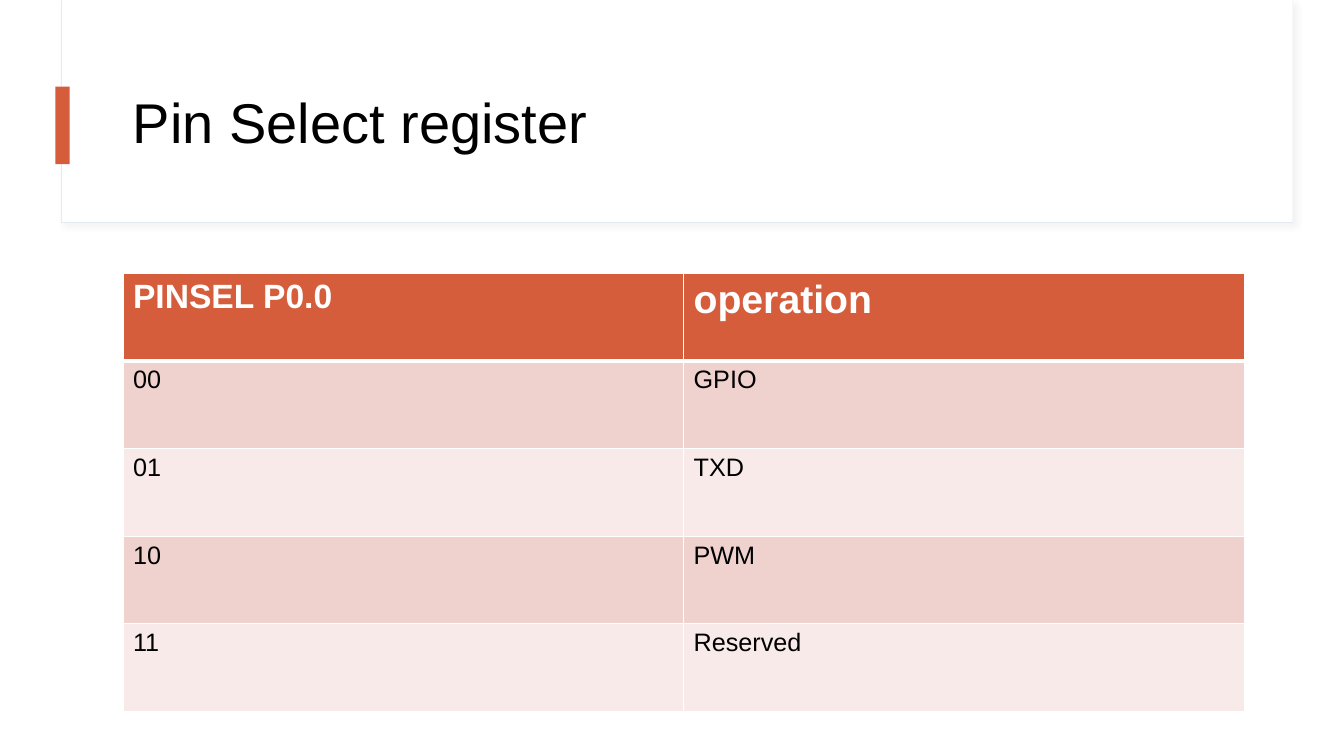
import pptx
import pptx.dml.color
import pptx.enum.shapes
import pptx.enum.text
import pptx.oxml
import pptx.oxml.ns
import pptx.util
from lxml import etree

Inches = pptx.util.Inches
Pt = pptx.util.Pt
qn = pptx.oxml.ns.qn

COLORS = {
    "white": "FFFFFF",
    "black": "000000",
    "accent": "D55D3B",
    "frame": "E5EAF0",
    "shadow": "D9D9D9",
    "odd_row": "EFD2CE",
    "even_row": "F7EAE8",
}
FONT = "Arial"
LEFT, WIDTH = 1.22, 11.12
ROW_HEIGHT = 0.87
ROWS = [
    ("PINSEL P0.0", "operation"),
    ("00", "GPIO"),
    ("01", "TXD"),
    ("10", "PWM"),
    ("11", "Reserved"),
]
HEADER_SIZES = (24, 28)


def rgb(name):
    """Return the named colour."""
    return pptx.dml.color.RGBColor.from_string(COLORS[name])


def format_text(para, size, color, bold=False):
    """Set the font of every run in a paragraph."""
    for span in para.runs:
        span.font.name = FONT
        span.font.size = Pt(size)
        span.font.bold = bold
        span.font.color.rgb = rgb(color)


def add_panel(page, left, top, width, height, fill, line=None):
    """Add a flat rectangle, outlined if a line colour is given."""
    panel = page.shapes.add_shape(
        pptx.enum.shapes.MSO_SHAPE.RECTANGLE,
        Inches(left), Inches(top), Inches(width), Inches(height))
    panel.shadow.inherit = False
    panel.fill.solid()
    panel.fill.fore_color.rgb = rgb(fill)
    if line:
        panel.line.color.rgb = rgb(line)
        panel.line.width = Pt(0.75)
    else:
        panel.line.fill.background()
    return panel


def add_soft_shadow(panel):
    """Give a panel a faint shadow to the lower right."""
    effects = panel._element.spPr.find(qn("a:effectLst"))
    shadow = etree.SubElement(
        effects, qn("a:outerShdw"), blurRad=str(Pt(4)), dist=str(Pt(3)),
        dir=str(45 * 60000), algn="tl", rotWithShape="0")
    color = etree.SubElement(shadow, qn("a:srgbClr"), val=COLORS["shadow"])
    etree.SubElement(color, qn("a:alpha"), val="30000")


def add_title(page, text):
    """Add the vertically centred title."""
    box = page.shapes.add_textbox(
        Inches(LEFT), Inches(0.6), Inches(WIDTH), Inches(1.29))
    frame = box.text_frame
    frame.word_wrap = True
    frame.vertical_anchor = pptx.enum.text.MSO_ANCHOR.MIDDLE
    frame.text = text
    frame.paragraphs[0].line_spacing = 0.9
    format_text(frame.paragraphs[0], 40, "black")


def set_borders(cell, top, bottom):
    """Draw white cell borders, with the top and bottom widths in points."""
    properties = cell._tc.get_or_add_tcPr()
    widths = {"a:lnL": 1, "a:lnR": 1, "a:lnT": top, "a:lnB": bottom}
    for index, (tag, width) in enumerate(widths.items()):
        line = etree.Element(qn(tag), w=str(Pt(width)))
        fill = etree.SubElement(line, qn("a:solidFill"))
        etree.SubElement(fill, qn("a:srgbClr"), val=COLORS["white"])
        properties.insert(index, line)


def add_register_table(page):
    """Add the table of pin select values and their operations."""
    columns = len(ROWS[0])
    table = page.shapes.add_table(
        len(ROWS), columns, Inches(LEFT), Inches(2.71),
        Inches(WIDTH), Inches(ROW_HEIGHT * len(ROWS))).table
    for column in table.columns:
        column.width = Inches(WIDTH / columns)
    for row_index, texts in enumerate(ROWS):
        header = row_index == 0
        band = "odd_row" if row_index % 2 else "even_row"
        for column_index, text in enumerate(texts):
            cell = table.cell(row_index, column_index)
            cell.text_frame.text = text
            size = HEADER_SIZES[column_index] if header else 18
            format_text(cell.text_frame.paragraphs[0], size,
                        "white" if header else "black", header)
            cell.fill.solid()
            cell.fill.fore_color.rgb = rgb("accent" if header else band)
            set_borders(cell, top=3 if row_index == 1 else 1,
                        bottom=3 if header else 1)


def main():
    """Build and save the slide."""
    deck = pptx.Presentation()
    deck.slide_width = Inches(13.33)
    deck.slide_height = Inches(7.5)
    page = deck.slides.add_slide(deck.slide_layouts[6])
    frame = add_panel(page, 0.61, 0, 12.21, 2.21, "white", "frame")
    add_soft_shadow(frame)
    add_panel(page, 0.62, 0, 12.2, 2.2, "white")
    add_panel(page, 0.55, 0.86, 0.14, 0.77, "accent")
    add_title(page, "Pin Select register")
    add_register_table(page)
    deck.save("out.pptx")


main()
